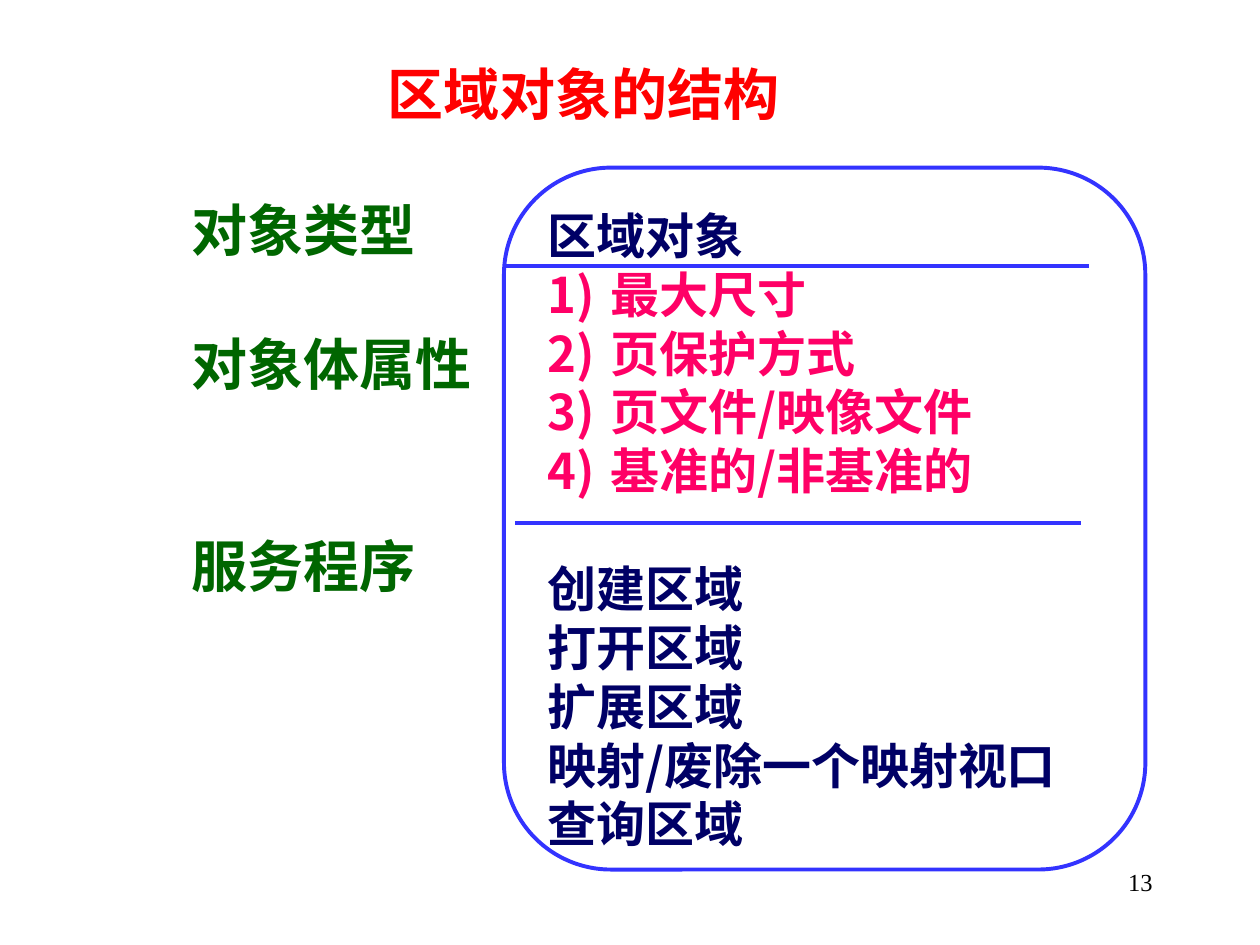
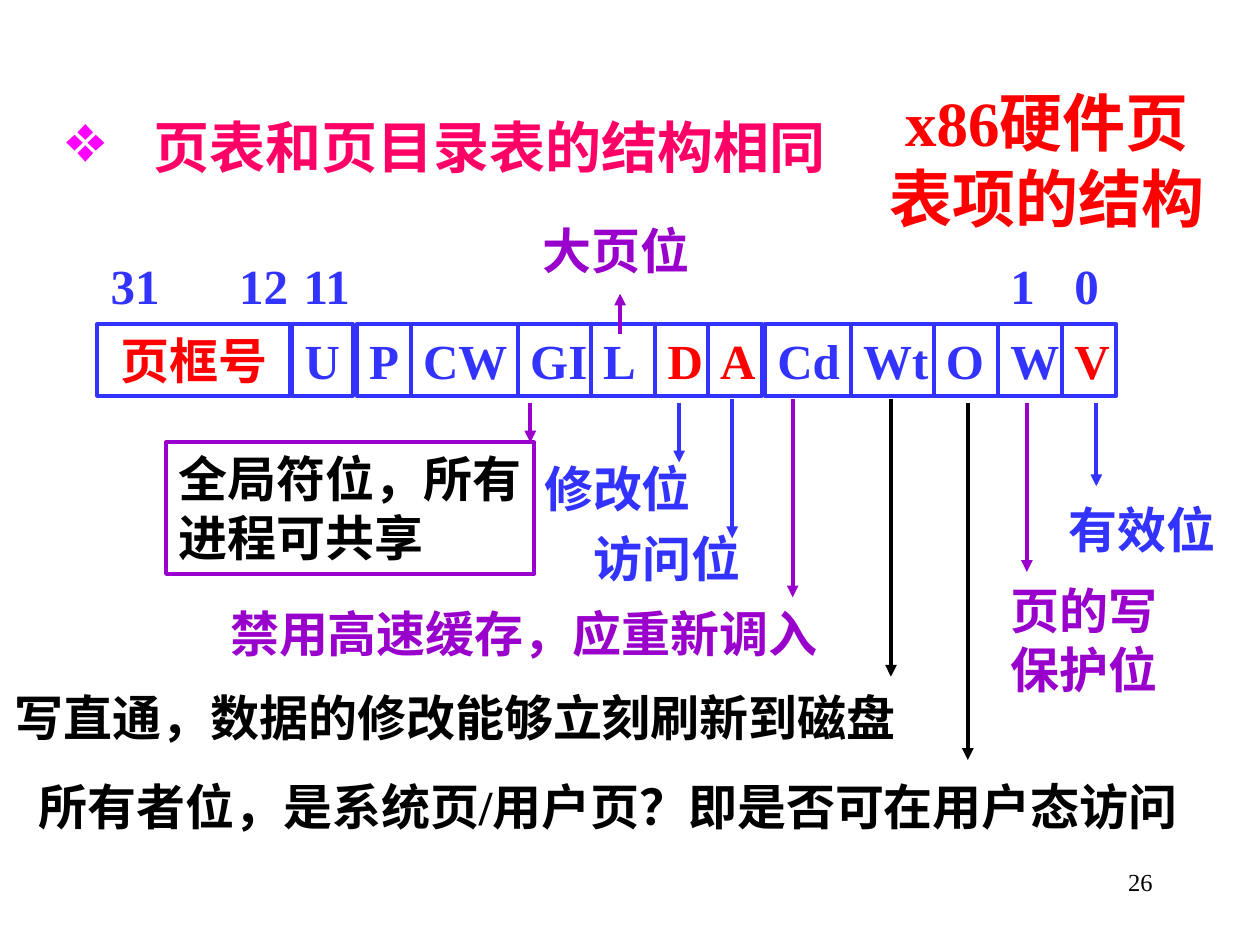
from lxml import etree
from pptx import Presentation
from pptx import util as u
from pptx.dml.color import RGBColor
from pptx.enum import shapes, text
from pptx.oxml.ns import qn


class Theme:
    red, pink, magenta = "FF0000", "FF0066", "FF00FF"
    green, navy, blue = "006600", "000066", "3333FF"
    purple, black, white = "9900CC", "000000", "FFFFFF"
    sans, serif = "Noto Sans CJK SC", "Times New Roman"
    big, heading, body, footer = 36, 32, 28, 14
    line = 2.25


LEFT, CENTER, RIGHT = text.PP_ALIGN.LEFT, text.PP_ALIGN.CENTER, text.PP_ALIGN.RIGHT
ROW_TOP, ROW_HEIGHT, LINE_HEIGHT = 6.53, 1.45, 1.2

STRUCTURE = {
    "title": "区域对象的结构",
    "number": "13",
    "parts": [("对象类型", 0), ("对象体属性", 38.4), ("服务程序", 76.8)],
    "type": "区域对象",
    "attributes": ["最大尺寸", "页保护方式", "页文件/映像文件", "基准的/非基准的"],
    "services": ["创建区域", "打开区域", "扩展区域", "映射/废除一个映射视口", "查询区域"],
    "dividers": [(10.16, 21.95, 5.36), (10.39, 21.79, 10.54)],
}

PAGE_ENTRY = {
    "title": "x86硬件页表项的结构",
    "number": "26",
    "point": "页表和页目录表的结构相同",
    "fields": [
        ("页框号", 1.96, 3.89, Theme.red), ("U", 5.89, 1.22, Theme.blue),
        ("P", 7.19, 1.12, Theme.blue), ("CW", 8.28, 2.21, Theme.blue),
        ("GI", 10.44, 1.65, Theme.blue), ("L", 11.91, 1.3, Theme.blue),
        ("D", 13.21, 1.09, Theme.red), ("A", 14.27, 1.09, Theme.red),
        ("Cd", 15.42, 1.75, Theme.blue), ("Wt", 17.15, 1.83, Theme.blue),
        ("O", 18.82, 1.3, Theme.blue), ("W", 20.12, 1.3, Theme.blue),
        ("V", 21.41, 1.09, Theme.red),
    ],
    "bits": [("31", 1.98), ("12", 4.57), ("11", 5.87), ("1", 20.12), ("0", 21.41)],
    "meanings": [
        ("大页位", 10.69, 4.32, 3.45, Theme.purple),
        ("有效位", 21.29, 9.93, 3.45, Theme.blue),
        ("访问位", 11.71, 10.52, 3.45, Theme.blue),
        ("修改位", 10.72, 9.12, 3.45, Theme.blue),
        ("禁用高速缓存，应重新调入", 4.39, 12.04, 12.34, Theme.purple),
        ("写直通，数据的修改能够立刻刷新到磁盘", 0.05, 13.72, 18.26, Theme.black),
        ("所有者位，是系统页/用户页？即是否可在用户态访问", 0.53, 15.52, 23.93, Theme.black),
        ("页的写\n保护位", 20.12, 11.58, 3.45, Theme.purple),
    ],
    "global": "全局符位，所有\n进程可共享",
    "arrows": [
        (10.69, 8.13, 8.92, Theme.purple), (12.5, 6.73, 5.92, Theme.purple),
        (13.69, 8.13, 9.32, Theme.blue), (14.76, 8.05, 10.85, Theme.blue),
        (15.98, 8.05, 12.04, Theme.purple), (17.96, 8.05, 13.64, Theme.black),
        (19.51, 8.13, 15.32, Theme.black), (20.7, 8.13, 11.53, Theme.purple),
        (22.1, 8.13, 9.8, Theme.blue),
    ],
}


def cm(*lengths):
    return [u.Cm(length) for length in lengths]


def rgb(color):
    return RGBColor.from_string(color)


def apply(target, values):
    for name, value in values.items():
        setattr(target, name, value)


def write(frame, content, color, size=Theme.body, font=Theme.serif, bold=True,
          align=LEFT, wrap=True, anchor=text.MSO_ANCHOR.TOP):
    apply(frame, {
        "auto_size": text.MSO_AUTO_SIZE.NONE, "word_wrap": wrap, "vertical_anchor": anchor,
        "margin_left": u.Cm(0.25), "margin_right": u.Cm(0.25),
        "margin_top": u.Cm(0.13), "margin_bottom": u.Cm(0.13),
    })
    for index, words in enumerate(content.split("\n")):
        paragraph = frame.paragraphs[0] if index == 0 else frame.add_paragraph()
        paragraph.alignment = align
        run = paragraph.add_run()
        run.text = words
        run.font.color.rgb = rgb(color)
        apply(run.font, {"size": u.Pt(size), "bold": bold, "name": font})
        east_asian = etree.SubElement(run._r.get_or_add_rPr(), qn("a:ea"))
        east_asian.set("typeface", Theme.sans)
    return frame.paragraphs


def hang(paragraph, indent, color=None, kind=None, scale=100, **attributes):
    props = paragraph._p.get_or_add_pPr()
    props.set("marL", str(u.Cm(indent)))
    props.set("indent", str(-u.Cm(indent)))
    if kind:
        bullet_color = etree.SubElement(props, qn("a:buClr"))
        etree.SubElement(bullet_color, qn("a:srgbClr")).set("val", color)
        etree.SubElement(props, qn("a:buSzPct")).set("val", str(scale * 1000))
        etree.SubElement(props, qn(kind), attributes)


def add_text(slide, at, content, color, **style):
    return write(slide.shapes.add_textbox(*cm(*at)).text_frame, content, color, **style)


def add_box(slide, shape, at, line_color):
    box = slide.shapes.add_shape(shape, *cm(*at))
    box.shadow.inherit = False
    box.fill.solid()
    box.fill.fore_color.rgb = rgb(Theme.white)
    box.line.color.rgb = rgb(line_color)
    box.line.width = u.Pt(Theme.line)
    return box.text_frame


def add_line(slide, ends, color, arrow=False):
    line = slide.shapes.add_connector(shapes.MSO_CONNECTOR.STRAIGHT, *cm(*ends))
    line.line.color.rgb = rgb(color)
    line.line.width = u.Pt(Theme.line)
    if arrow:
        etree.SubElement(line.line._get_or_add_ln(), qn("a:tailEnd")).set("type", "triangle")
    etree.SubElement(line._element.spPr, qn("a:effectLst"))


def add_slide(deck, content, title_at, **title_style):
    slide = deck.slides.add_slide(deck.slide_layouts[5])
    title = slide.shapes.title
    apply(title, dict(zip(("left", "top", "width", "height"), cm(*title_at))))
    write(title.text_frame, content["title"], Theme.red, align=CENTER, **title_style)
    add_text(slide, (18.21, 17.35, 5.28, 1.27), content["number"], Theme.black,
             size=Theme.footer, bold=False, align=RIGHT)
    return slide


def build_structure(deck, content):
    slide = add_slide(deck, content, (2.54, 1.07, 18.44, 1.5),
                      size=Theme.heading, font=Theme.sans)
    names, gaps = zip(*content["parts"])
    parts = add_text(slide, (3.61, 3.81, 6.43, 9.65), "\n".join(names), Theme.green,
                     size=Theme.heading, font=Theme.sans)
    for part, gap in zip(parts, gaps):
        part.space_before = u.Pt(gap)

    area = add_box(slide, shapes.MSO_SHAPE.ROUNDED_RECTANGLE,
                   (10.16, 3.38, 12.93, 14.15), Theme.blue)
    attributes, services = content["attributes"], content["services"]
    rows = write(area, "\n".join([content["type"], *attributes, *services]),
                 Theme.navy, font=Theme.sans)
    first_service = 1 + len(attributes)
    rows[first_service].space_before = u.Pt(33.7)
    for index, row in enumerate(rows):
        if 0 < index < first_service:
            hang(row, 1.27, Theme.pink, "a:buAutoNum", type="arabicParenR")
            row.runs[0].font.color.rgb = rgb(Theme.pink)
        else:
            hang(row, 1.27)
    for start, end, level in content["dividers"]:
        add_line(slide, (start, level, end, level), Theme.blue)


def build_page_entry(deck, content):
    slide = add_slide(deck, content, (17.5, 1.12, 7.21, 4.19),
                      size=Theme.big, anchor=text.MSO_ANCHOR.MIDDLE)
    point = add_text(slide, (1.09, 2.13, 16.41, 1.63), content["point"], Theme.pink,
                     size=Theme.heading)
    hang(point[0], 1.76, Theme.magenta, "a:buChar", 120, char="❖")

    for name, left, width, color in content["fields"]:
        field = add_box(slide, shapes.MSO_SHAPE.RECTANGLE,
                        (left, ROW_TOP, width, ROW_HEIGHT), Theme.blue)
        write(field, name, color, wrap=len(name) == 1,
              align=CENTER if color == Theme.red else LEFT)
    for bit, left in content["bits"]:
        add_text(slide, (left, 5.03, 0.5 + 0.5 * len(bit), ROW_HEIGHT), bit,
                 Theme.blue, wrap=False)
    for meaning, left, top, width, color in content["meanings"]:
        height = ROW_HEIGHT + LINE_HEIGHT * meaning.count("\n")
        add_text(slide, (left, top, width, height), meaning, color, wrap=False)
    shared = add_box(slide, shapes.MSO_SHAPE.RECTANGLE,
                     (3.35, 8.92, 7.42, ROW_HEIGHT + LINE_HEIGHT), Theme.purple)
    write(shared, content["global"], Theme.black, wrap=False)
    for across, start, end, color in content["arrows"]:
        add_line(slide, (across, start, across, end), color, arrow=True)


def main():
    deck = Presentation()
    apply(deck, {"slide_width": u.Cm(25.4), "slide_height": u.Cm(19.05)})
    build_structure(deck, STRUCTURE)
    build_page_entry(deck, PAGE_ENTRY)
    deck.save("out.pptx")


if __name__ == "__main__":
    main()
